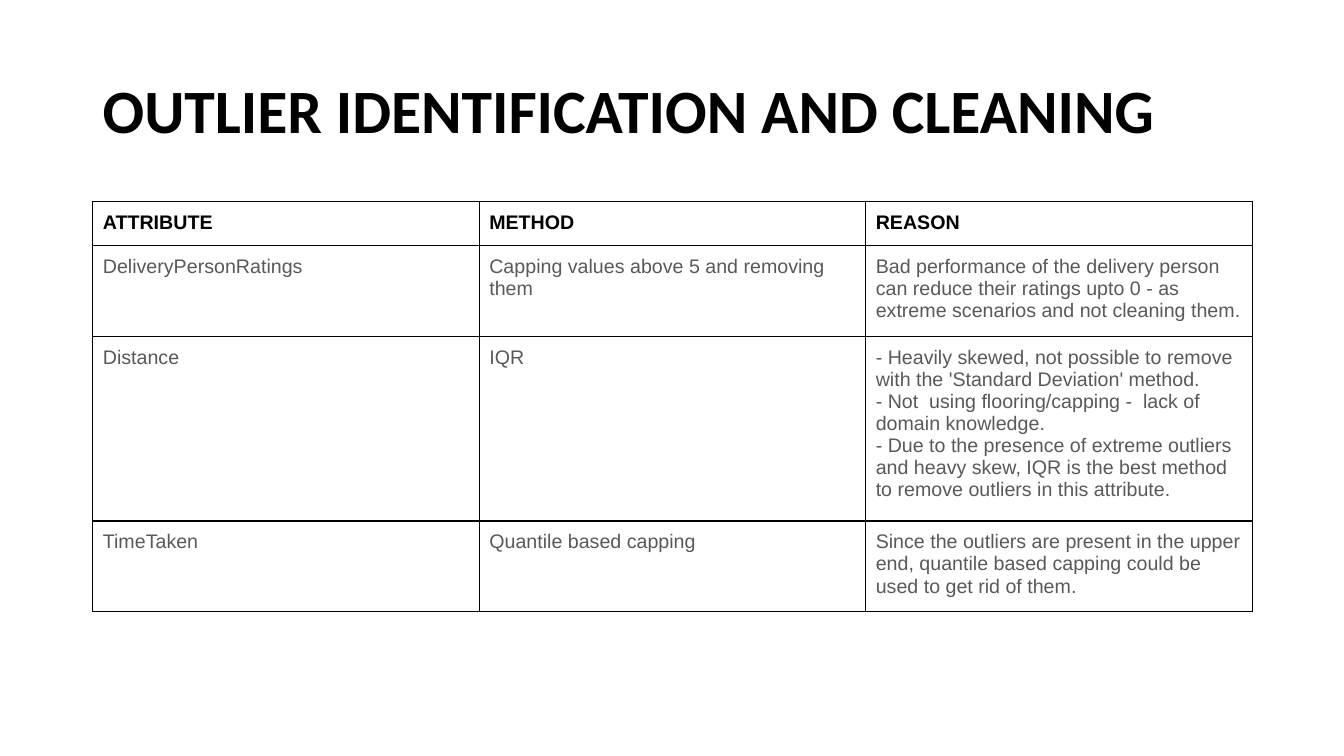
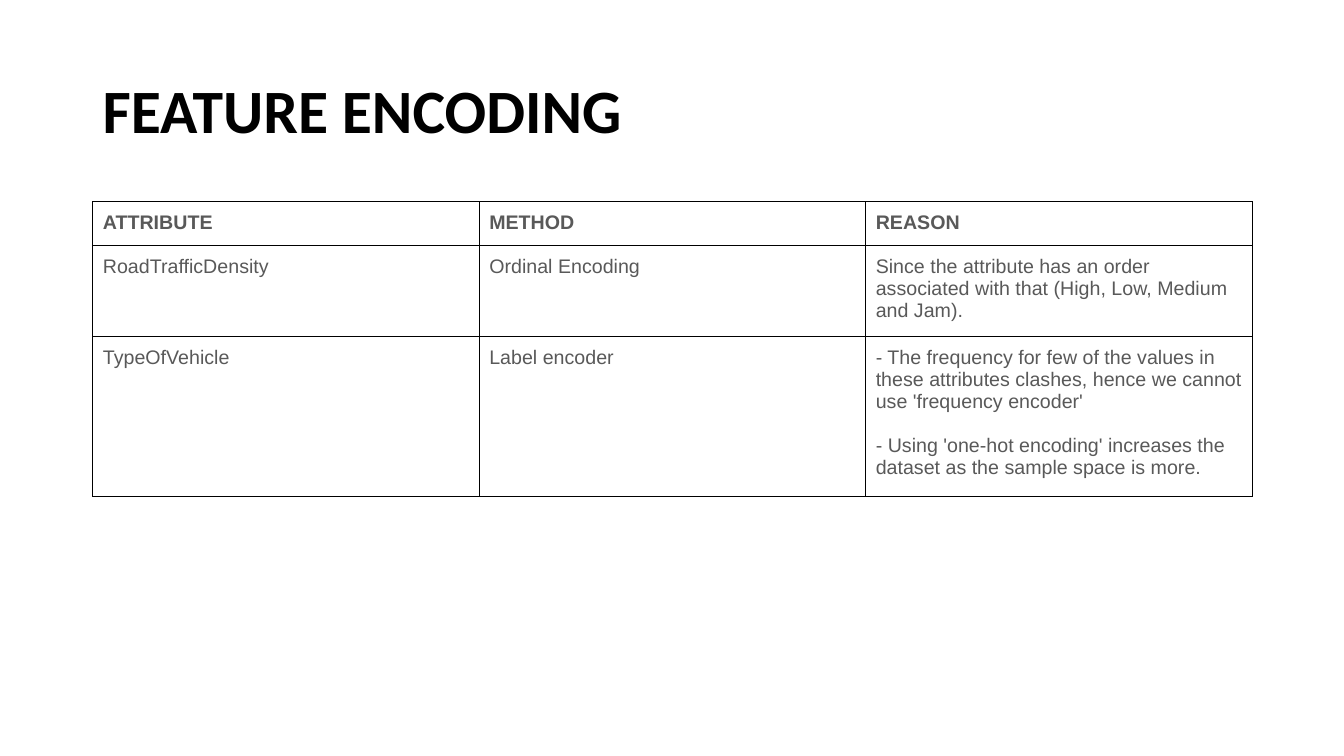
"""Build two slides that tabulate outlier cleaning and feature encoding choices."""
import dataclasses

import lxml.etree
import pptx
import pptx.dml.color
import pptx.enum.text
import pptx.oxml.ns
import pptx.util

Inches, Pt = pptx.util.Inches, pptx.util.Pt


@dataclasses.dataclass(frozen=True)
class Theme:
    black: str = "000000"
    grey: str = "595959"
    title_font: str = "Calibri"
    table_font: str = "Arial"
    title_size: int = 44
    table_size: int = 14
    border_width: int = 1


THEME = Theme()
WIDTH, HEIGHT = 13.33, 7.5
MARGIN = 0.92
CONTENT_WIDTH = 11.5
TITLE_TOP, TITLE_HEIGHT = 0.4, 1.45
TABLE_TOP = 2
CELL_INSET = 0.1
LINE_HEIGHT = 0.215

HEADINGS = ("ATTRIBUTE", "METHOD", "REASON")
SLIDES = [
    {
        "title": "OUTLIER IDENTIFICATION AND CLEANING",
        "heading_color": THEME.black,
        "reason_gap": 0,
        "row_lines": (1, 3, 7, 3),
        "rows": [
            ("DeliveryPersonRatings", "Capping values above 5 and removing them",
             "Bad performance of the delivery person can reduce their ratings upto 0 - as "
             "extreme scenarios and not cleaning them."),
            ("Distance", "IQR",
             "- Heavily skewed, not possible to remove with the 'Standard Deviation' method.\n"
             "- Not  using flooring/capping -  lack of domain knowledge.\n"
             "- Due to the presence of extreme outliers and heavy skew, IQR is the best method "
             "to remove outliers in this attribute."),
            ("TimeTaken", "Quantile based capping",
             "Since the outliers are present in the upper end, quantile based capping could be "
             "used to get rid of them."),
        ],
    },
    {
        "title": "FEATURE ENCODING",
        "heading_color": THEME.grey,
        "reason_gap": 16,
        "row_lines": (1, 3, 6),
        "rows": [
            ("RoadTrafficDensity", "Ordinal Encoding",
             "Since the attribute has an order associated with that (High, Low, Medium and Jam)."),
            ("TypeOfVehicle", "Label encoder",
             "- The frequency for few of the values in these attributes clashes, hence we cannot "
             "use 'frequency encoder'\n"
             "- Using 'one-hot encoding' increases the dataset as the sample space is more."),
        ],
    },
]


def add_run(paragraph, text, font, size, color, bold):
    run = paragraph.add_run()
    run.text = text
    run.font.name, run.font.size, run.font.bold = font, Pt(size), bold
    run.font.color.rgb = pptx.dml.color.RGBColor.from_string(color)


def add_title(slide, text):
    title = slide.shapes.add_textbox(
        Inches(MARGIN), Inches(TITLE_TOP), Inches(CONTENT_WIDTH), Inches(TITLE_HEIGHT))
    frame = title.text_frame
    frame.word_wrap = True
    frame.vertical_anchor = pptx.enum.text.MSO_ANCHOR.MIDDLE
    paragraph = frame.paragraphs[0]
    paragraph.line_spacing = 0.9
    add_run(paragraph, text, THEME.title_font, THEME.title_size, THEME.black, True)


def set_borders(cell):
    qn = pptx.oxml.ns.qn
    properties = cell._tc.get_or_add_tcPr()
    for position, side in enumerate(("lnL", "lnR", "lnT", "lnB")):
        line = lxml.etree.Element(qn(f"a:{side}"), w=str(Pt(THEME.border_width)))
        fill = lxml.etree.SubElement(line, qn("a:solidFill"))
        lxml.etree.SubElement(fill, qn("a:srgbClr"), val=THEME.black)
        properties.insert(position, line)


def fill_cell(cell, text, color, bold, gap):
    cell.fill.background()
    cell.margin_left = cell.margin_right = Inches(CELL_INSET)
    cell.margin_top = cell.margin_bottom = Inches(CELL_INSET)
    set_borders(cell)
    frame = cell.text_frame
    for index, line in enumerate(text.split("\n")):
        paragraph = frame.add_paragraph() if index else frame.paragraphs[0]
        if index:
            paragraph.space_before = Pt(gap)
        add_run(paragraph, line, THEME.table_font, THEME.table_size, color, bold)


def add_methods_table(slide, content):
    rows = [HEADINGS, *content["rows"]]
    heights = [2 * CELL_INSET + LINE_HEIGHT * lines for lines in content["row_lines"]]
    table = slide.shapes.add_table(
        len(rows), len(HEADINGS), Inches(MARGIN), Inches(TABLE_TOP),
        Inches(CONTENT_WIDTH), Inches(sum(heights))).table
    table.first_row = table.horz_banding = False
    for row_index, (row, height) in enumerate(zip(rows, heights)):
        table.rows[row_index].height = Inches(height)
        heading = row_index == 0
        color = content["heading_color"] if heading else THEME.grey
        for column_index, text in enumerate(row):
            fill_cell(table.cell(row_index, column_index), text, color, heading,
                      content["reason_gap"])


def main():
    deck = pptx.Presentation()
    deck.slide_width, deck.slide_height = Inches(WIDTH), Inches(HEIGHT)
    for content in SLIDES:
        slide = deck.slides.add_slide(deck.slide_layouts[6])
        add_title(slide, content["title"])
        add_methods_table(slide, content)
    deck.save("out.pptx")


if __name__ == "__main__":
    main()
